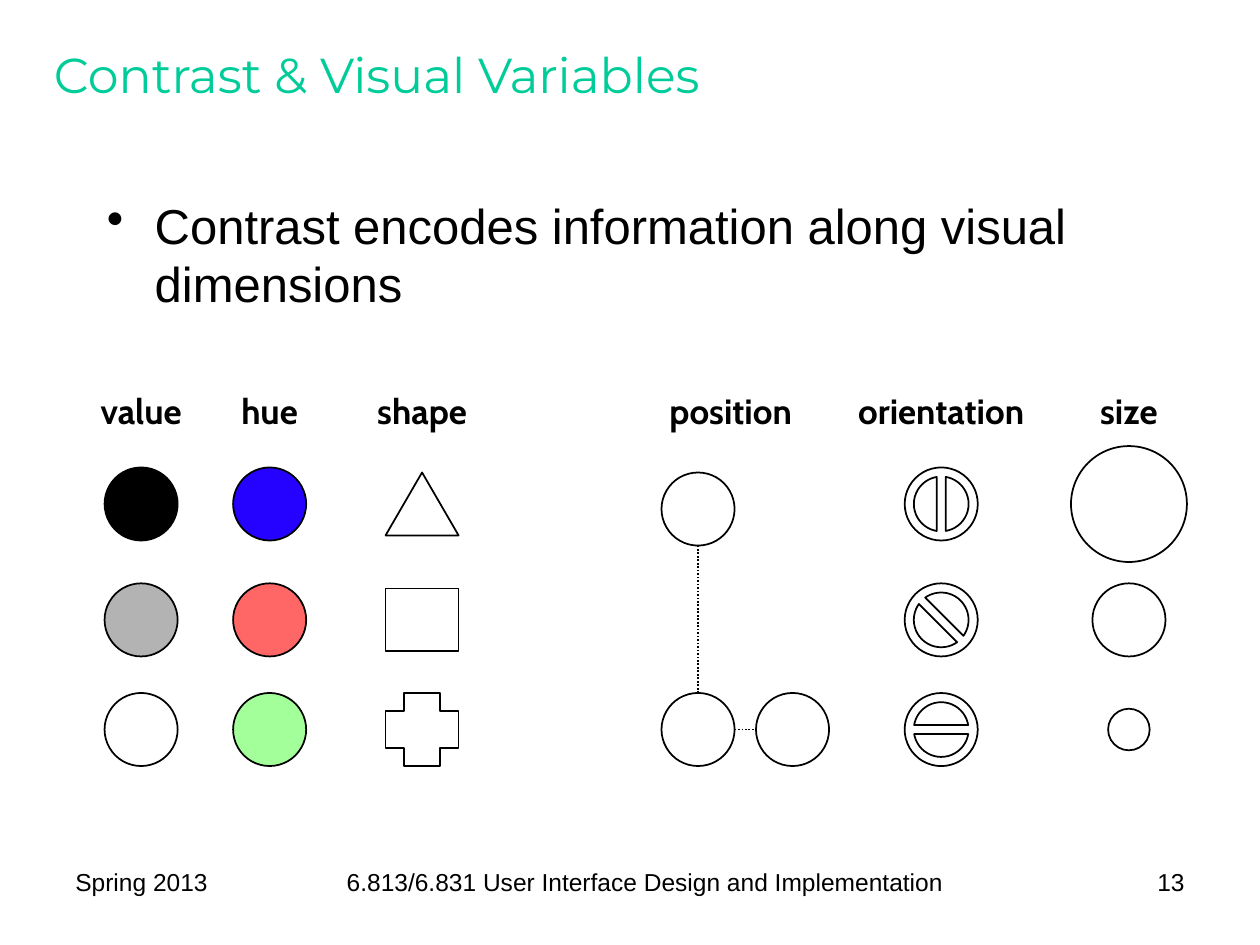
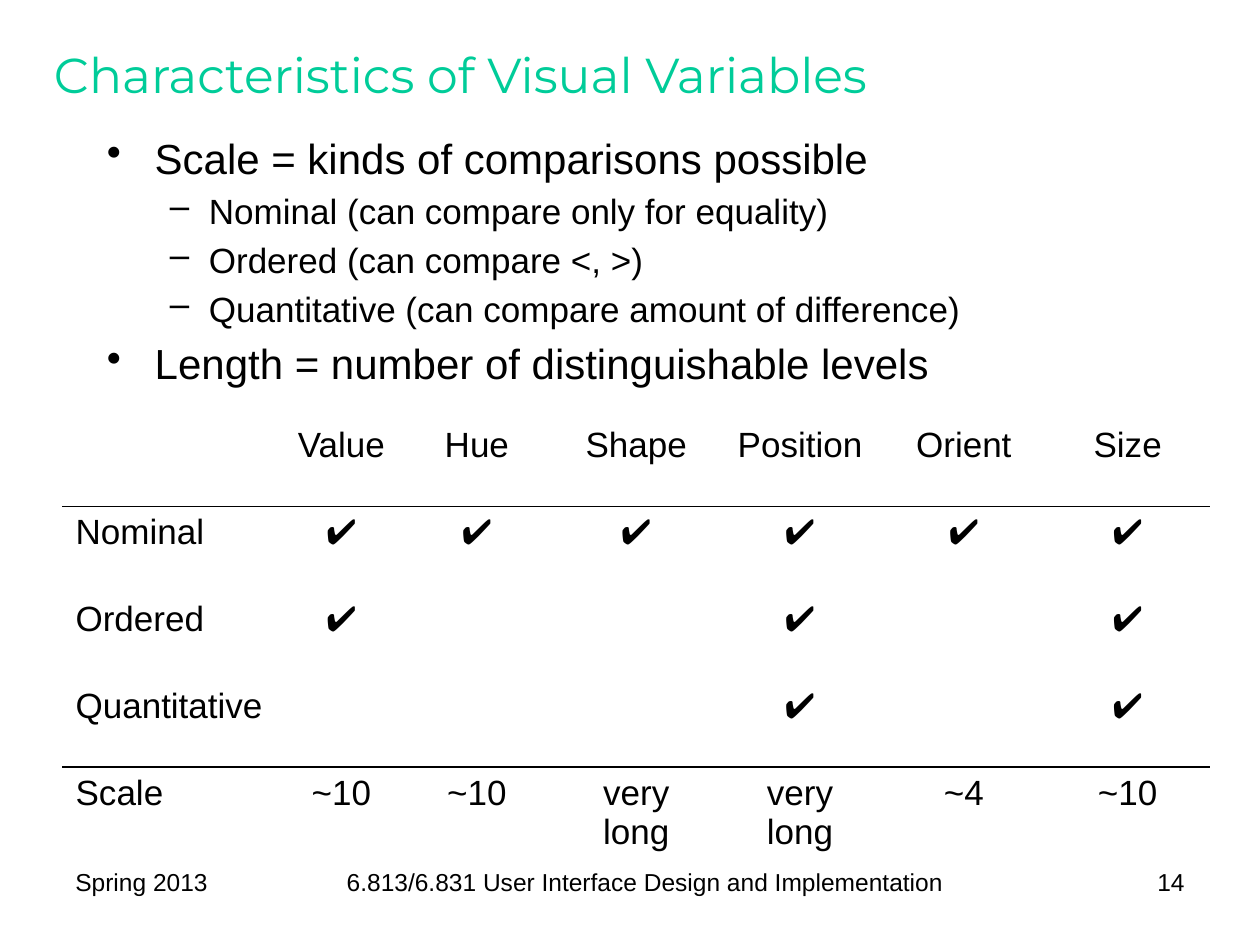
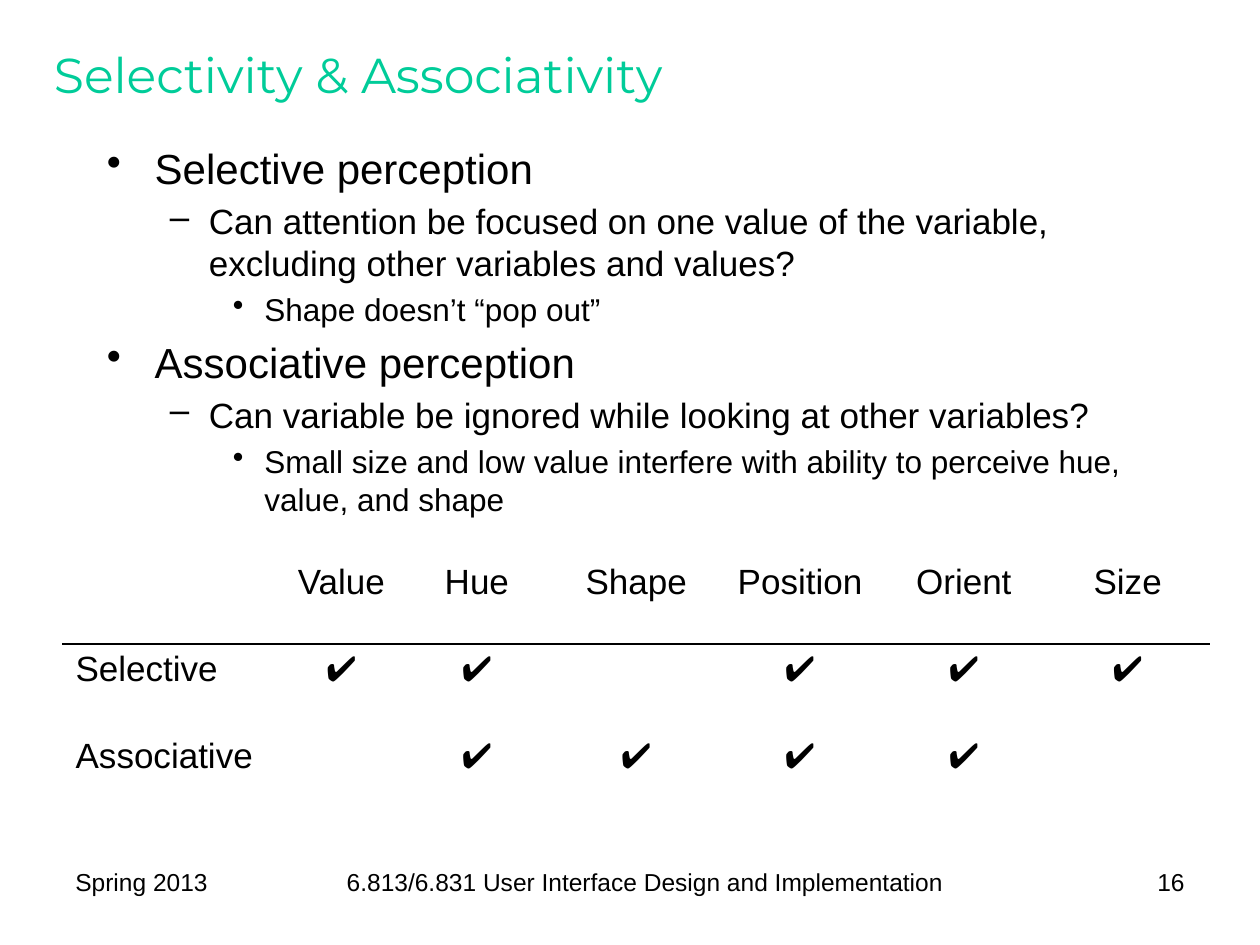
from dataclasses import dataclass
from itertools import accumulate
from typing import Any

from lxml import etree
from pptx import Presentation
from pptx.dml.color import RGBColor
from pptx.enum.dml import MSO_LINE
from pptx.enum.shapes import MSO_CONNECTOR, MSO_SHAPE
from pptx.enum.text import MSO_ANCHOR, PP_ALIGN
from pptx.oxml.ns import qn
from pptx.util import Inches, Pt

LEFT, CENTER, RIGHT = PP_ALIGN.LEFT, PP_ALIGN.CENTER, PP_ALIGN.RIGHT
TOP, MIDDLE = MSO_ANCHOR.TOP, MSO_ANCHOR.MIDDLE
ELLIPSE, TRIANGLE, RECTANGLE = MSO_SHAPE.OVAL, MSO_SHAPE.ISOSCELES_TRIANGLE, MSO_SHAPE.RECTANGLE
CROSS, BARRED_RING = MSO_SHAPE.CROSS, MSO_SHAPE.NO_SYMBOL
STRAIGHT = MSO_CONNECTOR.STRAIGHT
DOTTED = MSO_LINE.ROUND_DOT

BLACK, WHITE, GREEN = "000000", "FFFFFF", "00CC99"
BODY_FONT, TITLE_FONT, LABEL_FONT = "Arial", "Montserrat", "Cabin"

MARK = 0.58
ROW_CENTERS = (4.0, 4.92, 5.79)
LABEL_TOP, LABEL_HEIGHT = 3.04, 0.43

CHECK = "✔"
TABLE_LEFT, ROW_HEIGHT = 0.5, 0.69
COLUMN_WIDTHS = (1.75, 0.92, 1.23, 1.3, 1.3, 1.3, 1.3)
VARIABLES = ("", "Value", "Hue", "Shape", "Position", "Orient", "Size")


@dataclass(frozen=True)
class Box:
    left: float
    top: float
    width: float
    height: float


@dataclass(frozen=True)
class TextStyle:
    size: float
    font: str = BODY_FONT
    color: str = BLACK
    bold: bool = False
    align: Any = LEFT


@dataclass(frozen=True)
class BulletLevel:
    symbol: str
    margin: float
    hanging: float


@dataclass(frozen=True)
class Bullet:
    text: str
    size: float
    level: int = 0


@dataclass(frozen=True)
class Mark:
    kind: Any = ELLIPSE
    fill: str = WHITE
    width: float = MARK
    height: float = MARK
    rotation: float = 0
    adjustment: float | None = None


@dataclass(frozen=True)
class VariableColumn:
    label: str
    center: float
    label_width: float
    marks: tuple[Mark, ...] = ()
    grouped: bool = True


@dataclass(frozen=True)
class Grid:
    top: float
    rows: tuple[tuple[str, ...], ...]
    ruled_rows: tuple[int, ...]


TITLE_STYLE = TextStyle(28, TITLE_FONT, GREEN)
LABEL_STYLE = TextStyle(20, LABEL_FONT, bold=True, align=CENTER)
TITLE_BOX = Box(0.33, 0.17, 9.25, 0.83)
FOOTERS = (
    ("Spring 2013", Box(0.5, 6.83, 1.5, 0.52), LEFT),
    ("6.813/6.831 User Interface Design and Implementation", Box(2.08, 6.83, 6.08, 0.52), CENTER),
    ("{number}", Box(8.25, 6.83, 1.25, 0.52), RIGHT),
)
BULLET_LEVELS = (
    BulletLevel("•", 0.38, 0.38),
    BulletLevel("–", 0.81, 0.31),
    BulletLevel("•", 1.25, 0.25),
)

VARIABLE_COLUMNS = (
    VariableColumn(
        "size", 8.96, 0.73,
        tuple(Mark(width=size, height=size) for size in (0.92, MARK, 0.33)),
        grouped=False,
    ),
    VariableColumn("value", 1.12, 0.91, tuple(Mark(fill=color) for color in (BLACK, "B3B3B3", WHITE))),
    VariableColumn("hue", 2.14, 0.7, tuple(Mark(fill=color) for color in ("2501FF", "FF6767", "A3FF99"))),
    VariableColumn(
        "orientation", 7.47, 1.64,
        tuple(Mark(BARRED_RING, rotation=angle, adjustment=0.125) for angle in (45, 0, 315)),
    ),
    VariableColumn(
        "shape", 3.35, 1.01,
        (Mark(TRIANGLE, height=0.5), Mark(RECTANGLE, height=0.5), Mark(CROSS, adjustment=0.25)),
    ),
    VariableColumn("position", 5.8, 1.28, grouped=False),
)
POSITION_CENTERS = ((5.54, 4.04), (5.54, 5.79), (6.29, 5.79))


def rgb(color: str) -> RGBColor:
    return RGBColor.from_string(color)


def inches(box: Box) -> tuple:
    return Inches(box.left), Inches(box.top), Inches(box.width), Inches(box.height)


def style_paragraph(paragraph: Any, style: TextStyle) -> None:
    paragraph.alignment = style.align
    paragraph.font.name = style.font
    paragraph.font.size = Pt(style.size)
    paragraph.font.bold = style.bold
    paragraph.font.color.rgb = rgb(style.color)


def add_text(shapes: Any, box: Box, text: str, style: TextStyle, anchor: Any = TOP, wrap: bool = True) -> None:
    frame = shapes.add_textbox(*inches(box)).text_frame
    frame.word_wrap = wrap
    frame.vertical_anchor = anchor
    frame.text = text
    style_paragraph(frame.paragraphs[0], style)


def add_bullets(slide: Any, box: Box, bullets: tuple[Bullet, ...]) -> None:
    frame = slide.shapes.add_textbox(*inches(box)).text_frame
    frame.word_wrap = True
    for index, bullet in enumerate(bullets):
        paragraph = frame.add_paragraph() if index else frame.paragraphs[0]
        paragraph.text = bullet.text
        paragraph.level = bullet.level
        level = BULLET_LEVELS[bullet.level]
        properties = paragraph._p.get_or_add_pPr()
        properties.set("marL", str(Inches(level.margin)))
        properties.set("indent", str(-Inches(level.hanging)))
        space_before = etree.SubElement(properties, qn("a:spcBef"))
        etree.SubElement(space_before, qn("a:spcPct"), val="20000")
        etree.SubElement(properties, qn("a:buChar"), char=level.symbol)
        style_paragraph(paragraph, TextStyle(bullet.size))


def add_slide(presentation: Any, title: str, number: int) -> Any:
    slide = presentation.slides.add_slide(presentation.slide_layouts[6])
    add_text(slide.shapes, TITLE_BOX, title, TITLE_STYLE, MIDDLE)
    for text, box, align in FOOTERS:
        add_text(slide.shapes, box, text.format(number=number), TextStyle(14, align=align))
    return slide


def add_mark(shapes: Any, mark: Mark, center_x: float, center_y: float) -> None:
    box = Box(center_x - mark.width / 2, center_y - mark.height / 2, mark.width, mark.height)
    shape = shapes.add_shape(mark.kind, *inches(box))
    shape.shadow.inherit = False
    shape.rotation = mark.rotation
    if mark.adjustment is not None:
        shape.adjustments[0] = mark.adjustment
    shape.fill.solid()
    shape.fill.fore_color.rgb = rgb(mark.fill)
    shape.line.color.rgb = rgb(BLACK)
    shape.line.width = Pt(1)


def add_variable_column(slide: Any, column: VariableColumn) -> None:
    shapes = slide.shapes.add_group_shape().shapes if column.grouped else slide.shapes
    for mark, center_y in zip(column.marks, ROW_CENTERS):
        add_mark(shapes, mark, column.center, center_y)
    label_box = Box(column.center - column.label_width / 2, LABEL_TOP, column.label_width, LABEL_HEIGHT)
    add_text(shapes, label_box, column.label, LABEL_STYLE, wrap=False)


def add_dotted_line(slide: Any, start: tuple[float, float], end: tuple[float, float]) -> None:
    connector = slide.shapes.add_connector(STRAIGHT, *(Inches(value) for value in start + end))
    connector.line.color.rgb = rgb(BLACK)
    connector.line.width = Pt(1)
    connector.line.dash_style = DOTTED
    etree.SubElement(connector._element.spPr, qn("a:effectLst"))


def add_position_marks(slide: Any) -> None:
    (left, upper), (_, lower), (right, _) = POSITION_CENTERS
    radius = MARK / 2
    add_dotted_line(slide, (left, lower - radius), (left, upper + radius))
    add_dotted_line(slide, (left + radius, lower), (right - radius, lower))
    for center_x, center_y in POSITION_CENTERS:
        add_mark(slide.shapes, Mark(), center_x, center_y)


def add_border(cell: Any, side: str, color: str) -> None:
    line = etree.SubElement(cell._tc.get_or_add_tcPr(), qn(f"a:ln{side}"), w=str(Pt(1)))
    fill = etree.SubElement(line, qn("a:solidFill"))
    etree.SubElement(fill, qn("a:srgbClr"), val=color)


def add_grid(slide: Any, grid: Grid) -> None:
    rows = (VARIABLES,) + grid.rows
    box = Box(TABLE_LEFT, grid.top, sum(COLUMN_WIDTHS), ROW_HEIGHT * len(rows))
    table = slide.shapes.add_table(len(rows), len(VARIABLES), *inches(box)).table
    table.first_row = False
    table.horz_banding = False
    edges = [Inches(edge) for edge in accumulate(COLUMN_WIDTHS, initial=0)]
    for column, start, end in zip(table.columns, edges, edges[1:]):
        column.width = end - start
    for row_index, texts in enumerate(rows):
        table.rows[row_index].height = Inches(ROW_HEIGHT)
        top_color = BLACK if row_index - 1 in grid.ruled_rows else WHITE
        bottom_color = BLACK if row_index in grid.ruled_rows else WHITE
        for column_index, text in enumerate(texts):
            cell = table.cell(row_index, column_index)
            cell.text = text
            style_paragraph(cell.text_frame.paragraphs[0], TextStyle(20, align=CENTER if column_index else LEFT))
            for side, color in (("L", WHITE), ("R", WHITE), ("T", top_color), ("B", bottom_color)):
                add_border(cell, side, color)
            cell.fill.solid()
            cell.fill.fore_color.rgb = rgb(WHITE)


def add_contrast_slide(presentation: Any) -> None:
    slide = add_slide(presentation, "Contrast & Visual Variables", 13)
    add_bullets(slide, Box(0.75, 1.5, 8.5, 5.17), (
        Bullet("Contrast encodes information along visual dimensions", 28),
    ))
    for column in VARIABLE_COLUMNS:
        add_variable_column(slide, column)
    add_position_marks(slide)


def add_characteristics_slide(presentation: Any) -> None:
    slide = add_slide(presentation, "Characteristics of Visual Variables", 14)
    add_bullets(slide, Box(0.75, 1, 8.5, 5.67), (
        Bullet("Scale = kinds of comparisons possible", 24),
        Bullet("Nominal (can compare only for equality)", 20, 1),
        Bullet("Ordered (can compare <, >)", 20, 1),
        Bullet("Quantitative (can compare amount of difference)", 20, 1),
        Bullet("Length = number of distinguishable levels", 24),
    ))
    add_grid(slide, Grid(3.33, (
        ("Nominal",) + (CHECK,) * 6,
        ("Ordered", CHECK, "", "", CHECK, "", CHECK),
        ("Quantitative", "", "", "", CHECK, "", CHECK),
        ("Scale", "~10", "~10", "very long", "very long", "~4", "~10"),
    ), ruled_rows=(0, 3)))


def add_selectivity_slide(presentation: Any) -> None:
    slide = add_slide(presentation, "Selectivity & Associativity", 16)
    add_bullets(slide, Box(0.75, 1.08, 8.5, 5.58), (
        Bullet("Selective perception", 24),
        Bullet("Can attention be focused on one value of the variable, excluding other variables and values?", 20, 1),
        Bullet("Shape doesn’t “pop out”", 18, 2),
        Bullet("Associative perception", 24),
        Bullet("Can variable be ignored while looking at other variables?", 20, 1),
        Bullet("Small size and low value interfere with ability to perceive hue, value, and shape", 18, 2),
    ))
    add_grid(slide, Grid(4.42, (
        ("Selective", CHECK, CHECK, "", CHECK, CHECK, CHECK),
        ("Associative", "", CHECK, CHECK, CHECK, CHECK, ""),
    ), ruled_rows=(0,)))


def main() -> None:
    presentation = Presentation()
    presentation.slide_width = Inches(10)
    presentation.slide_height = Inches(7.5)
    add_contrast_slide(presentation)
    add_characteristics_slide(presentation)
    add_selectivity_slide(presentation)
    presentation.save("out.pptx")


if __name__ == "__main__":
    main()
